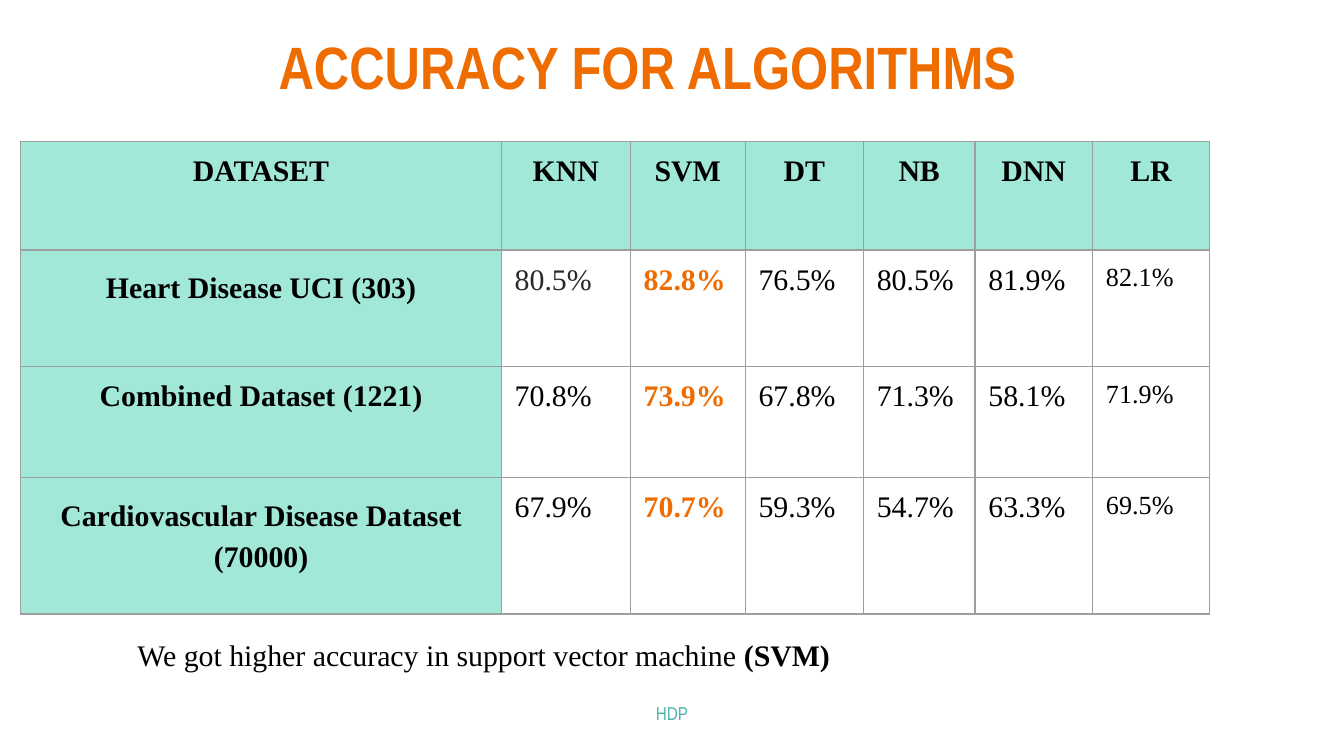
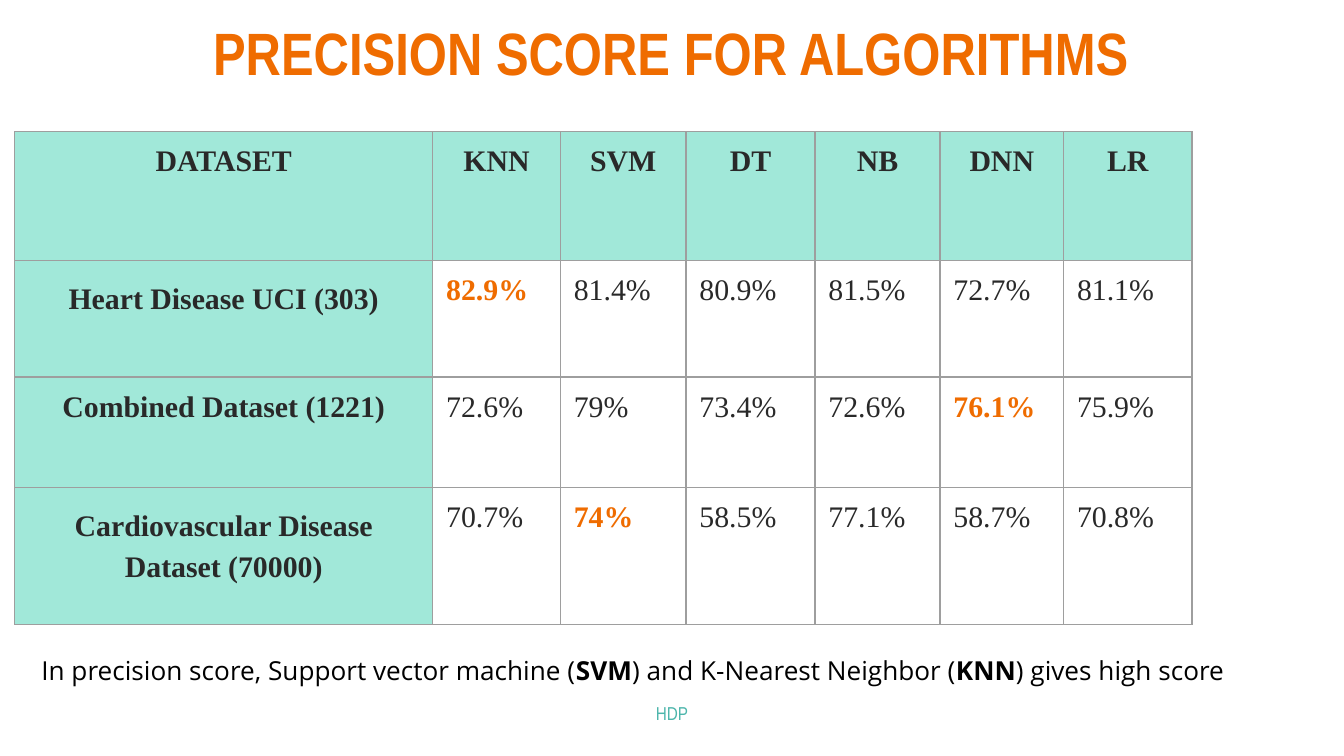
from dataclasses import dataclass, field
from typing import Any

from lxml import etree
from pptx import Presentation
from pptx.dml.color import RGBColor
from pptx.enum.text import MSO_AUTO_SIZE, PP_ALIGN
from pptx.oxml.ns import qn
from pptx.util import Emu, Pt

PX = 4572
WIDTH, HEIGHT = 2000, 1125
LEFT, CENTER = PP_ALIGN.LEFT, PP_ALIGN.CENTER
GROW = MSO_AUTO_SIZE.SHAPE_TO_FIT_TEXT

ORANGE, TEAL, MINT = "EF6C00", "4DB6AC", "A1E8D9"
BLACK, CHARCOAL, WHITE, GRAY = "000000", "292929", "FFFFFF", "9E9E9E"
SERIF, NARROW, SANS = "Times New Roman", "Arial Narrow", "Open Sans"

MARGIN = 20
MARGINS = {f"margin_{side}": Emu(MARGIN * PX) for side in ("left", "top", "right", "bottom")}
TITLE = {"size": Pt(32), "name": NARROW, "color": ORANGE}
FOOTER = {"size": Pt(10), "name": NARROW, "color": TEAL}
BEST = {"bold": True, "color": ORANGE}
LOOSE = {"line_spacing": 1.25, "space_after": Pt(6)}

ALGORITHMS = ["KNN", "SVM", "DT", "NB", "DNN", "LR"]
DATASETS = [
    "Heart Disease UCI (303)",
    "Combined Dataset (1221)",
    "Cardiovascular Disease Dataset (70000)",
]
LOOSE_ROWS = (1, 3)

Run = tuple[str, bool]
Format = dict[str, Any]


@dataclass
class Box:
    x: int
    y: int
    w: int
    h: int


@dataclass
class Note:
    box: Box
    runs: list[Run]
    fmt: Format
    indent: int = 0


@dataclass
class ScoreSlide:
    title: str
    title_box: Box
    x: int
    y: int
    cols: list[int]
    rows: list[int]
    scores: list[list[str]]
    color: str
    best: set[tuple[int, int]]
    note: Note
    overrides: dict[tuple[int, int], Format] = field(default_factory=dict)


FOOTER_BOX = Box(672, 1028, 656, 74)


def rgb(color: str) -> RGBColor:
    return RGBColor.from_string(color)


def set_attrs(target: Any, values: Format) -> None:
    for name, value in values.items():
        if name == "color":
            target.color.rgb = rgb(value)
        else:
            setattr(target, name, value)


def add_runs(p: Any, runs: list[Run], fmt: Format) -> None:
    for text, bold in runs:
        r = p.add_run()
        r.text = text
        set_attrs(r.font, fmt | {"bold": bold})


def add_text(s: Any, box: Box, runs: list[Run], fmt: Format,
             align: Any = CENTER, indent: int = 0) -> None:
    sp = s.shapes.add_textbox(*(Emu(v * PX) for v in (box.x, box.y, box.w, box.h)))
    tf = sp.text_frame
    set_attrs(tf, MARGINS | {"word_wrap": True, "auto_size": GROW})
    p = tf.paragraphs[0]
    p.alignment = align
    if indent:
        p._p.get_or_add_pPr().set("marL", str(indent * PX))
    add_runs(p, runs, fmt)


def add_borders(cell: Any) -> None:
    tc_pr = cell._tc.get_or_add_tcPr()
    for side in ("lnL", "lnR", "lnT", "lnB"):
        ln = etree.SubElement(tc_pr, qn(f"a:{side}"), w=str(Pt(0.75)))
        fill = etree.SubElement(ln, qn("a:solidFill"))
        etree.SubElement(fill, qn("a:srgbClr"), val=GRAY)


def add_scores(s: Any, spec: ScoreSlide) -> None:
    grid = [["DATASET", *ALGORITHMS]]
    grid += [[name, *values] for name, values in zip(DATASETS, spec.scores)]
    size = (spec.x, spec.y, sum(spec.cols), sum(spec.rows))
    table = s.shapes.add_table(len(grid), len(grid[0]), *(Emu(v * PX) for v in size)).table
    set_attrs(table, {"first_row": False, "horz_banding": False})
    for col, width in zip(table.columns, spec.cols):
        col.width = Emu(width * PX)
    for row, height in zip(table.rows, spec.rows):
        row.height = Emu(height * PX)

    for i, values in enumerate(grid):
        for j, text in enumerate(values):
            heading = i == 0 or j == 0
            cell = table.cell(i, j)
            set_attrs(cell, MARGINS)
            add_borders(cell)
            cell.fill.solid()
            cell.fill.fore_color.rgb = rgb(MINT if heading else WHITE)
            p = cell.text_frame.paragraphs[0]
            p.alignment = CENTER if heading else LEFT
            if j == 0 and i in LOOSE_ROWS:
                set_attrs(p, LOOSE)
            fmt = {"size": Pt(16), "name": SERIF, "bold": heading, "color": spec.color}
            fmt |= BEST if (i, j) in spec.best else {}
            fmt |= spec.overrides.get((i, j), {})
            add_runs(p, [(text, fmt["bold"])], fmt)


SLIDES = [
    ScoreSlide(
        title="ACCURACY FOR ALGORITHMS",
        title_box=Box(31, 24, 1866, 148),
        x=31, y=211,
        cols=[715, 192, 171, 176, 166, 175, 174],
        rows=[161, 174, 165, 203],
        scores=[
            ["80.5%", "82.8%", "76.5%", "80.5%", "81.9%", "82.1%"],
            ["70.8%", "73.9%", "67.8%", "71.3%", "58.1%", "71.9%"],
            ["67.9%", "70.7%", "59.3%", "54.7%", "63.3%", "69.5%"],
        ],
        color=BLACK,
        best={(1, 2), (2, 2), (3, 2)},
        note=Note(
            Box(96, 927, 1806, 94),
            [("We got higher accuracy in support vector machine ", False), ("(SVM)", True)],
            {"size": Pt(16), "name": SERIF, "color": BLACK},
            indent=89,
        ),
        overrides={(1, 1): {"color": CHARCOAL}} | {(i, 6): {"size": Pt(14)} for i in (1, 2, 3)},
    ),
    ScoreSlide(
        title="PRECISION SCORE FOR ALGORITHMS",
        title_box=Box(66, 4, 1866, 148),
        x=22, y=196,
        cols=[622, 190, 187, 192, 186, 184, 191],
        rows=[192, 173, 165, 204],
        scores=[
            ["82.9%", "81.4%", "80.9%", "81.5%", "72.7%", "81.1%"],
            ["72.6%", "79%", "73.4%", "72.6%", "76.1%", "75.9%"],
            ["70.7%", "74%", "58.5%", "77.1%", "58.7%", "70.8%"],
        ],
        color=CHARCOAL,
        best={(1, 1), (2, 5), (3, 2)},
        note=Note(
            Box(42, 954, 1892, 88),
            [
                ("In precision score, Support vector machine (", False),
                ("SVM", True),
                (") and K-Nearest Neighbor (", False),
                ("KNN", True),
                (") gives high score", False),
            ],
            {"size": Pt(14), "name": SANS, "color": BLACK},
        ),
    ),
]


def main() -> None:
    prs = Presentation()
    prs.slide_width, prs.slide_height = Emu(WIDTH * PX), Emu(HEIGHT * PX)
    for spec in SLIDES:
        s = prs.slides.add_slide(prs.slide_layouts[6])
        add_scores(s, spec)
        add_text(s, spec.title_box, [(spec.title, True)], TITLE)
        add_text(s, FOOTER_BOX, [("HDP", False)], FOOTER)
        note = spec.note
        add_text(s, note.box, note.runs, note.fmt, LEFT, note.indent)
    prs.save("out.pptx")


if __name__ == "__main__":
    main()
